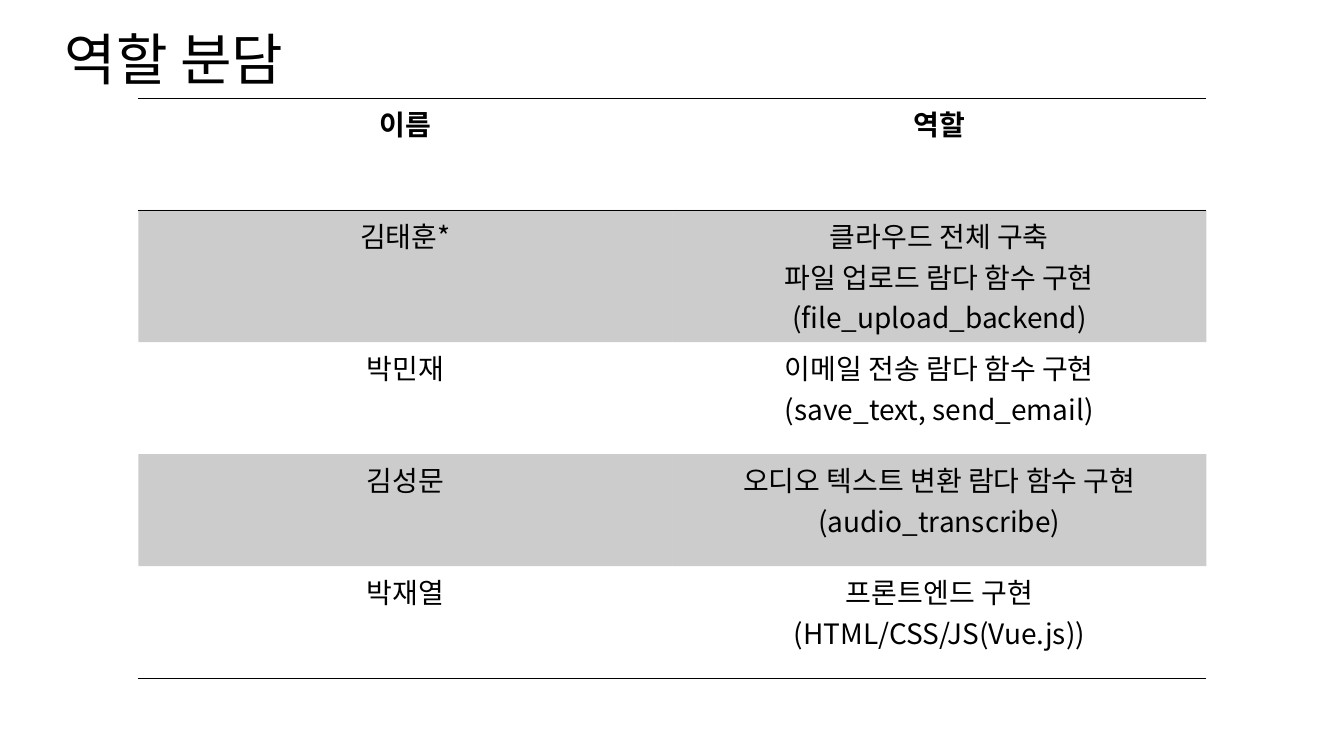
"""Build the team roles slide: a title and a table of names and duties."""
from dataclasses import dataclass

from lxml.etree import SubElement
from pptx import Presentation
from pptx.dml.color import RGBColor
from pptx.enum.text import MSO_ANCHOR, MSO_AUTO_SIZE, PP_ALIGN
from pptx.oxml import parse_xml
from pptx.oxml.ns import nsdecls, qn
from pptx.util import Pt


@dataclass(frozen=True)
class Theme:
    font: str = "Noto Sans CJK KR"
    ink: str = "000000"
    title_size: int = 40
    table_size: int = 20
    rule_width: float = 0.5
    band_alpha: int = 20000
    table_style: str = "{2D5ABB26-0587-4C30-8999-92F81FD0307C}"


THEME = Theme()
ROLES = [
    ("이름", "역할"),
    ("김태훈*", "클라우드 전체 구축\n파일 업로드 람다 함수 구현\n(file_upload_backend)"),
    ("박민재", "이메일 전송 람다 함수 구현\n(save_text, send_email)"),
    ("김성문", "오디오 텍스트 변환 람다 함수 구현\n(audio_transcribe)"),
    ("박재열", "프론트엔드 구현\n(HTML/CSS/JS(Vue.js))"),
]
ROW_HEIGHTS = [80, 94.5, 80, 80, 80]
RULED_EDGES = {0, 1, len(ROLES)}


def write(frame, text, size, align, bold=False):
    """Fill a text frame with one formatted paragraph per line."""
    frame.text = text
    for para in frame.paragraphs:
        para.alignment = align
        for span in para.runs:
            for name, value in {"name": THEME.font, "size": Pt(size), "bold": bold}.items():
                setattr(span.font, name, value)
            span.font.color.rgb = RGBColor.from_string(THEME.ink)
            SubElement(span._r.get_or_add_rPr(), qn("a:ea"), typeface=THEME.font)


def set_edges(cell, row):
    """Draw or clear the lines along the top and bottom of a cell."""
    solid = f'<a:solidFill><a:srgbClr val="{THEME.ink}"/></a:solidFill>'
    for position, side in enumerate(("lnT", "lnB")):
        paint = solid if row + position in RULED_EDGES else "<a:noFill/>"
        cell._tc.get_or_add_tcPr().insert(position, parse_xml(
            f'<a:{side} {nsdecls("a")} w="{Pt(THEME.rule_width)}">{paint}</a:{side}>'))


deck = Presentation()
deck.slide_width, deck.slide_height = Pt(960), Pt(540)
page = deck.slides.add_slide(deck.slide_layouts[5])

frame = page.shapes.add_table(len(ROLES), 2, Pt(98.8), Pt(70), Pt(763), Pt(sum(ROW_HEIGHTS)))
table = frame.table
table._tbl.tblPr.find(qn("a:tableStyleId")).text = THEME.table_style
for row, (height, texts) in enumerate(zip(ROW_HEIGHTS, ROLES)):
    table.rows[row].height = Pt(height)
    for column, text in enumerate(texts):
        cell = table.cell(row, column)
        write(cell.text_frame, text, THEME.table_size, PP_ALIGN.CENTER, bold=row == 0)
        if row % 2:
            cell.fill.solid()
            cell.fill.fore_color.rgb = RGBColor.from_string(THEME.ink)
            colour = cell._tc.tcPr.find(".//" + qn("a:srgbClr"))
            SubElement(colour, qn("a:alpha"), val=str(THEME.band_alpha))
        else:
            cell.fill.background()
        set_edges(cell, row)

title = page.shapes.title
box = {"left": 39, "top": 13.7, "width": 190, "height": 55.4}
for name, value in box.items():
    setattr(title, name, Pt(value))
layout = {"word_wrap": False, "auto_size": MSO_AUTO_SIZE.SHAPE_TO_FIT_TEXT,
          "vertical_anchor": MSO_ANCHOR.TOP}
for name, value in layout.items():
    setattr(title.text_frame, name, value)
write(title.text_frame, "역할 분담", THEME.title_size, PP_ALIGN.LEFT)

deck.save("out.pptx")
